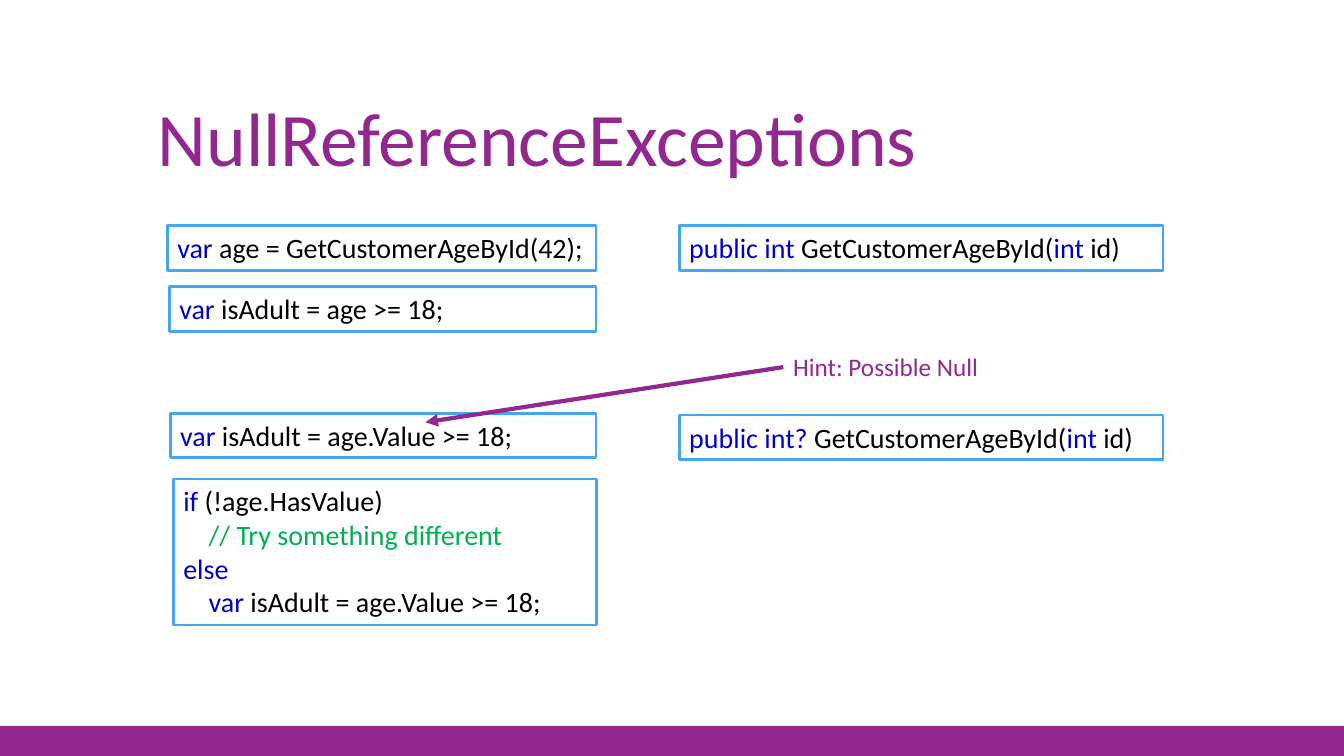
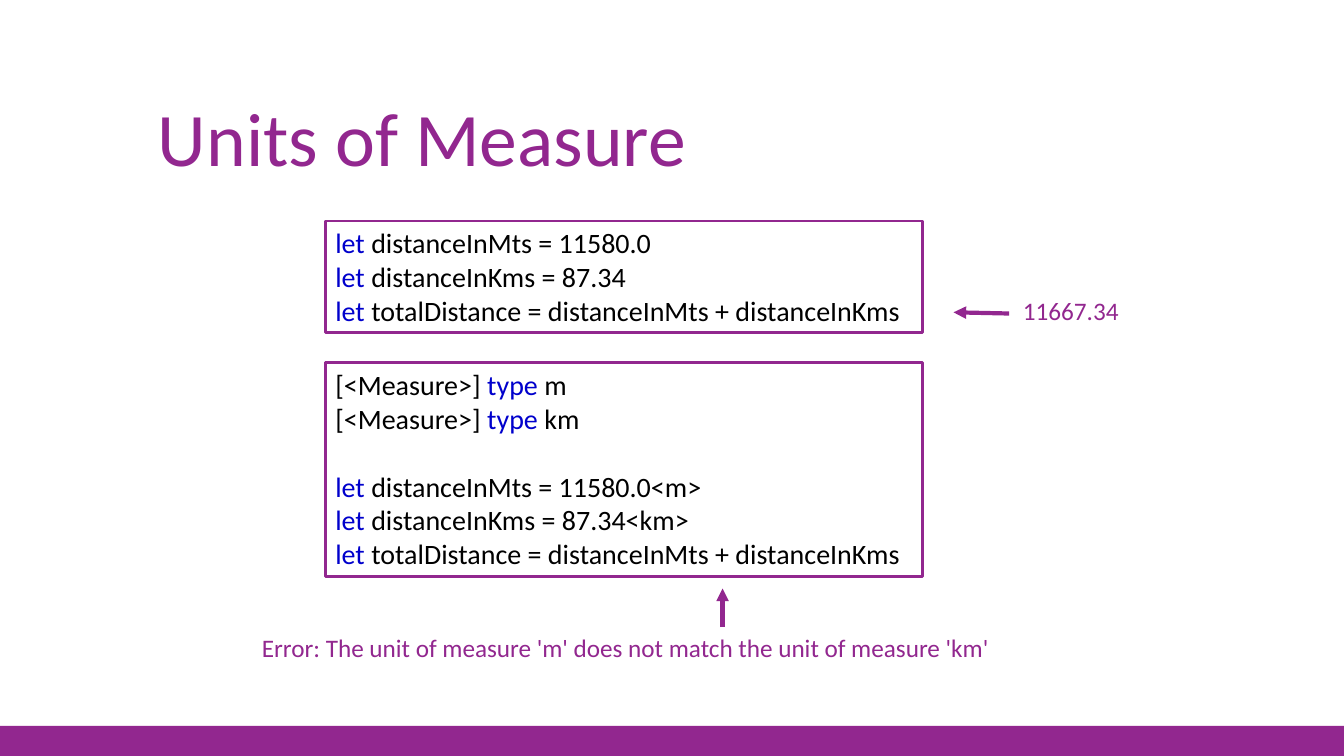
from lxml import etree
from pptx import Presentation
from pptx import util as u
from pptx.dml.color import RGBColor
from pptx.enum import shapes, text
from pptx.oxml import ns

Cm, Pt = u.Cm, u.Pt

PURPLE = RGBColor(0x92, 0x27, 0x8F)
BLUE = RGBColor(0x45, 0xA5, 0xED)
KEYWORD = RGBColor(0x00, 0x00, 0xCC)
COMMENT = RGBColor(0x00, 0xB0, 0x50)
PLAIN = RGBColor(0x00, 0x00, 0x00)
WHITE = RGBColor(0xFF, 0xFF, 0xFF)
FONT = "Calibri"
CODE_SIZE = Pt(20)
CODE_LINE = Pt(24.4)

# Code is a list of lines, each a list of (words, colour); an empty line is a gap
null_code = [
    (4.22, 5.69, 10.8, 1.12, [
        [("var", KEYWORD), (" age = GetCustomerAgeById(42);", PLAIN)]]),
    (17.12, 5.69, 12.19, 1.12, [
        [("public int ", KEYWORD), ("GetCustomerAgeById(", PLAIN),
         ("int ", KEYWORD), ("id)", PLAIN)]]),
    (4.27, 7.22, 10.75, 1.13, [
        [("var ", KEYWORD), ("isAdult = age >= 18;", PLAIN)]]),
    (17.12, 10.46, 12.19, 1.12, [
        [("public int? ", KEYWORD), ("GetCustomerAgeById(", PLAIN),
         ("int ", KEYWORD), ("id)", PLAIN)]]),
    (4.29, 10.42, 10.73, 1.12, [
        [("var ", KEYWORD), ("isAdult = age.Value >= 18;", PLAIN)]]),
    (4.37, 12.07, 10.66, 3.68, [
        [("if", KEYWORD), (" (!age.HasValue)", PLAIN)],
        [("    // Try something different", COMMENT)],
        [("else", KEYWORD)],
        [("    var ", KEYWORD), ("isAdult = age.Value >= 18;", PLAIN)]]),
]
total_line = [("let ", KEYWORD),
              ("totalDistance = distanceInMts + distanceInKms", PLAIN)]
unit_code = [
    (8.2, 5.57, 15.04, 2.82, [
        [("let ", KEYWORD), ("distanceInMts = 11580.0", PLAIN)],
        [("let ", KEYWORD), ("distanceInKms = 87.34", PLAIN)],
        total_line]),
    (8.2, 9.14, 15.04, 5.38, [
        [("[<Measure>] ", PLAIN), ("type", KEYWORD), (" m", PLAIN)],
        [("[<Measure>] ", PLAIN), ("type ", KEYWORD), ("km", PLAIN)],
        [],
        [("let ", KEYWORD), ("distanceInMts = 11580.0<m>", PLAIN)],
        [("let ", KEYWORD), ("distanceInKms = 87.34<km>", PLAIN)],
        total_line]),
]

# Notes: words, box, arrow start (None joins the note's left side), arrow tip
null_notes = [
    ("Hint: Possible Null", (19.74, 8.74, 5.23, 1.02), None, (10.72, 10.64)),
]
unit_notes = [
    ("11667.34", (25.53, 7.32, 2.95, 1.02), (25.43, 7.9), (24.03, 7.87)),
    ("Error: The unit of measure 'm' does not match the unit of measure 'km'",
     (6.35, 15.8, 19.08, 1.02), (18.21, 15.8), (18.21, 14.83)),
]

slides = [
    ("NullReferenceExceptions", BLUE, null_code, null_notes),
    ("Units of Measure", PURPLE, unit_code, unit_notes),
]


def add_rectangle(slide, left, top, width, height, fill):
    rectangle = slide.shapes.add_shape(
        shapes.MSO_SHAPE.RECTANGLE, Cm(left), Cm(top), Cm(width), Cm(height))
    rectangle.shadow.inherit = False
    rectangle.fill.solid()
    rectangle.fill.fore_color.rgb = fill
    rectangle.line.fill.background()
    return rectangle


def add_label(slide, words, box, size):
    label = slide.shapes.add_textbox(*map(Cm, box))
    paragraph = label.text_frame.paragraphs[0]
    paragraph.text = words
    paragraph.font.name = FONT
    paragraph.font.size = size
    paragraph.font.color.rgb = PURPLE
    return label


deck = Presentation()
deck.slide_width, deck.slide_height = Cm(33.87), Cm(19.05)

for heading, outline, code_blocks, notes in slides:
    slide = deck.slides.add_slide(deck.slide_layouts[6])

    # Bottom band and title
    add_rectangle(slide, 0, 18.29, 33.87, 0.76, PURPLE)
    title = add_label(slide, heading, (3.73, 1.3, 26.42, 3.43), Pt(54))
    title.text_frame.word_wrap = True
    title.text_frame.vertical_anchor = text.MSO_ANCHOR.BOTTOM
    title.text_frame.paragraphs[0].line_spacing = 0.9

    # Code blocks
    for left, top, width, height, lines in code_blocks:
        block = add_rectangle(slide, left, top, width, height, WHITE)
        block.line.color.rgb = outline
        block.line.width = Pt(2)
        frame = block.text_frame
        frame.word_wrap = True
        frame.vertical_anchor = text.MSO_ANCHOR.TOP
        paragraph = frame.paragraphs[0]
        for number, line in enumerate(lines):
            if not line:
                continue
            if number:
                paragraph = frame.add_paragraph()
                if not lines[number - 1]:
                    paragraph.space_before = CODE_LINE
            paragraph.alignment = text.PP_ALIGN.LEFT
            paragraph.font.name = FONT
            paragraph.font.size = CODE_SIZE
            for words, colour in line:
                run = paragraph.add_run()
                run.text = words
                run.font.color.rgb = colour

    # Notes with arrows
    for words, box, start, tip in notes:
        note = add_label(slide, words, box, Pt(18))
        note.text_frame.word_wrap = False
        arrow = slide.shapes.add_connector(
            shapes.MSO_CONNECTOR.STRAIGHT, *map(Cm, (start or box[:2]) + tip))
        if start is None:
            arrow.begin_connect(note, 1)
        arrow.line.color.rgb = PURPLE
        arrow.line.width = Pt(3)
        etree.SubElement(arrow.line._get_or_add_ln(), ns.qn("a:tailEnd"),
                         type="triangle")
        etree.SubElement(arrow._element.spPr, ns.qn("a:effectLst"))

deck.save("out.pptx")
